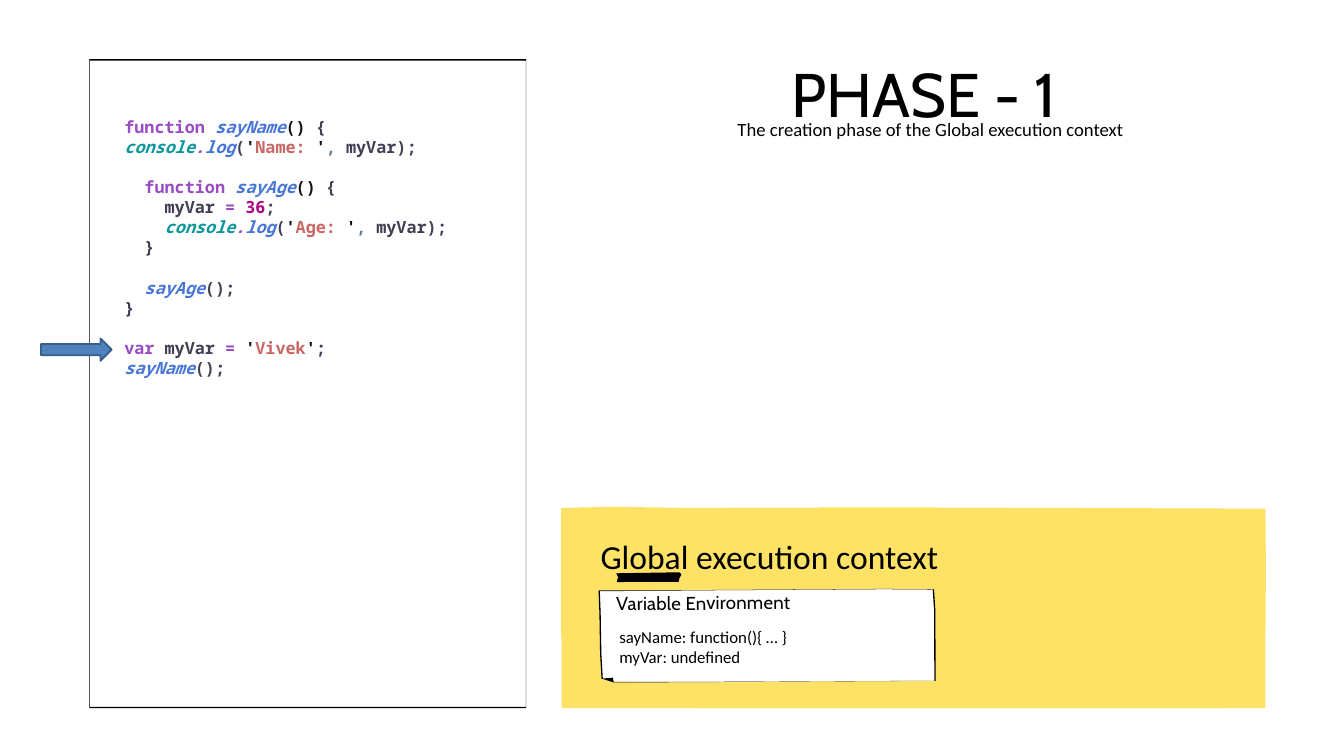
from pptx import Presentation
from pptx.dml.color import RGBColor
from pptx.enum.shapes import MSO_SHAPE as Preset
from pptx.enum.text import MSO_AUTO_SIZE as AutoSize, PP_ALIGN as Align
from pptx.util import Cm, Pt

BLACK = RGBColor(0x00, 0x00, 0x00)
WHITE = RGBColor(0xFF, 0xFF, 0xFF)
YELLOW = RGBColor(0xFE, 0xE2, 0x66)
BLUE = RGBColor(0x4F, 0x81, 0xBD)
DARK_BLUE = RGBColor(0x3A, 0x5F, 0x8C)
PURPLE = RGBColor(0x99, 0x4C, 0xC3)
ROYAL = RGBColor(0x48, 0x76, 0xD6)
TEAL = RGBColor(0x0C, 0x96, 0x9B)
INK = RGBColor(0x11, 0x11, 0x11)
SLATE = RGBColor(0x40, 0x3F, 0x53)
STEEL = RGBColor(0x5F, 0x7E, 0x97)
CORAL = RGBColor(0xC9, 0x67, 0x65)
MAGENTA = RGBColor(0xAA, 0x09, 0x82)

TILT = -0.2
CODE_LINE = Pt(21.6)

BODY = {"name": "Calibri", "size": Pt(18)}
SUBTITLE = {"name": "Calibri", "size": Pt(20)}
HEADING = {"name": "Calibri", "size": Pt(36)}
CARD_TITLE = {"name": "Cabin", "size": Pt(20)}
TITLE = {"name": "Cabin", "size": Pt(66)}
CODE = {"name": "Noto Sans Mono", "size": Pt(18), "bold": True}

FRAME = [
    [(3.38, 2.24), (3.38, 26.77), (19.89, 26.77), (19.89, 2.24)],
    [(19.88, 26.72), (3.4, 26.72), (3.4, 2.29), (19.88, 2.29)],
]
PANEL_CORNER = [[(21.23, 23.37), (21.23, 26.77), (46.36, 26.77)]]
PANEL = [[
    (21.21, 19.2), (21.21, 24), (21.47, 25.94), (21.72, 26.52), (24, 26.7),
    (26.39, 26.77), (43.59, 26.77), (47.83, 26.77), (47.83, 24.28),
    (47.85, 21.39), (47.83, 19.23), (33.53, 19.18), (25.93, 19.2),
    (23.23, 19.16),
]]
CARD = [[
    (22.66, 22.3), (22.68, 23.19), (22.71, 24.69), (22.76, 25.63),
    (23.19, 25.76), (25.83, 25.78), (35.33, 25.76), (35.33, 23.09),
    (35.28, 22.3), (33.43, 22.28), (26.37, 22.3),
]]
CARD_OUTLINE = [
    [(35.36, 25.76), (25.83, 25.78), (23.19, 25.78), (22.73, 25.63),
     (22.68, 24.69), (22.66, 23.19), (22.63, 22.3), (26.37, 22.3),
     (33.43, 22.28), (35.31, 22.3), (35.36, 23.09)],
    [(23.19, 25.76), (25.83, 25.77), (35.31, 25.76), (35.31, 23.09),
     (35.26, 22.31), (33.43, 22.29), (26.37, 22.31), (22.68, 22.33),
     (22.71, 23.19), (22.73, 24.69), (22.78, 25.63)],
    [(23.19, 25.76), (23.16, 25.6), (22.78, 25.63)],
]
TAPE = [[
    (25.68, 21.64), (25.76, 21.72), (25.68, 21.87), (25.65, 22),
    (23.32, 22), (23.32, 21.95), (23.37, 21.82), (23.29, 21.67),
]]


def declaration(indent, name):
    return [(indent + "function ", PURPLE), (name, ROYAL, True),
            ("()", INK), (" {", SLATE)]


def log_call(indent, label):
    return [(indent + "console", TEAL, True), (".", PURPLE, True),
            ("log", ROYAL, True), ("(", SLATE), ("'", INK), (label, CORAL),
            ("'", INK), (",", STEEL), (" myVar);", SLATE)]


def call(indent, name):
    return [(indent + name, ROYAL, True), ("();", SLATE)]


# Each block of code is separated from the next by one line.
CODE_BLOCKS = [
    [declaration("", "sayName"), log_call("", "Name: ")],
    [declaration("  ", "sayAge"),
     [("    myVar ", SLATE), ("= ", PURPLE), ("36", MAGENTA), (";", SLATE)],
     log_call("    ", "Age: "),
     [("  }", SLATE)]],
    [call("  ", "sayAge"), [("}", SLATE)]],
    [[("var ", PURPLE), ("myVar ", SLATE), ("= ", PURPLE), ("'", INK),
      ("Vivek", CORAL), ("'", INK), (";", SLATE)],
     call("", "sayName")],
]


class SlideBuilder:
    def __init__(self, slide, text_color=BLACK):
        self.slide = slide
        self.text_color = text_color

    def outline(self, contours, fill, rotation=0):
        """Fill closed contours; a contour inside another cuts a hole."""
        builder = None
        for contour in contours:
            start, *rest = [(Cm(x), Cm(y)) for x, y in contour]
            if builder is None:
                builder = self.slide.shapes.build_freeform(*start)
            else:
                builder.move_to(*start)
            builder.add_line_segments(rest, close=True)
        shape = builder.convert_to_shape()
        shape.rotation = rotation
        self.paint(shape, fill)
        shape.line.fill.background()

    def arrow(self, left, top, width, height):
        shape = self.slide.shapes.add_shape(
            Preset.RIGHT_ARROW, Cm(left), Cm(top), Cm(width), Cm(height))
        self.paint(shape, BLUE)
        shape.line.color.rgb = DARK_BLUE
        shape.line.width = Pt(2)

    def paint(self, shape, fill):
        shape.shadow.inherit = False
        shape.fill.solid()
        shape.fill.fore_color.rgb = fill

    def box(self, left, top, width, height, **frame_format):
        shape = self.slide.shapes.add_textbox(
            Cm(left), Cm(top), Cm(width), Cm(height))
        frame_format = {"word_wrap": True,
                        "auto_size": AutoSize.SHAPE_TO_FIT_TEXT,
                        **frame_format}
        for key, value in frame_format.items():
            setattr(shape.text_frame, key, value)
        return shape

    def run(self, paragraph, text, font_format, color, italic=False):
        run = paragraph.add_run()
        run.text = text
        for key, value in {**font_format, "italic": italic}.items():
            setattr(run.font, key, value)
        run.font.color.rgb = color
        return run

    def text(self, shape, lines, font_format, **paragraph_format):
        frame = shape.text_frame
        for index, line in enumerate(lines):
            paragraph = frame.add_paragraph() if index else frame.paragraphs[0]
            for key, value in paragraph_format.items():
                setattr(paragraph, key, value)
            run = self.run(paragraph, line, font_format, self.text_color)
        return run

    def code(self, shape, blocks):
        frame = shape.text_frame
        paragraph = None
        for block in blocks:
            for index, tokens in enumerate(block):
                if paragraph is None:
                    paragraph = frame.paragraphs[0]
                else:
                    paragraph = frame.add_paragraph()
                    if index == 0:
                        paragraph.space_before = CODE_LINE
                for text, *style in tokens:
                    self.run(paragraph, text, CODE, *style)


def main():
    presentation = Presentation()
    presentation.slide_width = Cm(50.8)
    presentation.slide_height = Cm(28.58)
    builder = SlideBuilder(
        presentation.slides.add_slide(presentation.slide_layouts[6]))

    builder.outline(FRAME, BLACK)
    builder.outline(PANEL_CORNER, YELLOW)
    builder.outline(PANEL, YELLOW)
    builder.text(builder.box(22.45, 20.12, 15.44, 1.8),
                 ["Global execution context"], HEADING)

    builder.arrow(1.55, 12.8, 2.67, 0.84)
    builder.code(builder.box(4.45, 4.27, 14.63, 11.02), CODE_BLOCKS)

    builder.outline(CARD, WHITE, TILT)
    builder.outline(CARD_OUTLINE, BLACK, TILT)
    builder.outline(TAPE, BLACK, TILT)
    card_title = builder.box(23.29, 22.35, 8.92, 0.86, margin_left=0,
                             margin_top=0, margin_right=0, margin_bottom=0)
    card_title.rotation = TILT
    run = builder.text(card_title, ["Variable Environment"], CARD_TITLE)
    run._r.get_or_add_rPr().set("spc", "20")
    builder.text(builder.box(23.16, 23.57, 11.76, 1.8),
                 ["sayName: function(){ … }", "myVar: undefined"], BODY)

    builder.text(builder.box(29.34, 0.53, 11.18, 4.17, word_wrap=False),
                 ["PHASE - 1"], TITLE,
                 alignment=Align.CENTER, line_spacing=Pt(121))
    builder.text(builder.box(24.77, 4.34, 20.8, 1.12),
                 ["The creation phase of the Global execution context"],
                 SUBTITLE, alignment=Align.CENTER)

    presentation.save("out.pptx")


if __name__ == "__main__":
    main()
